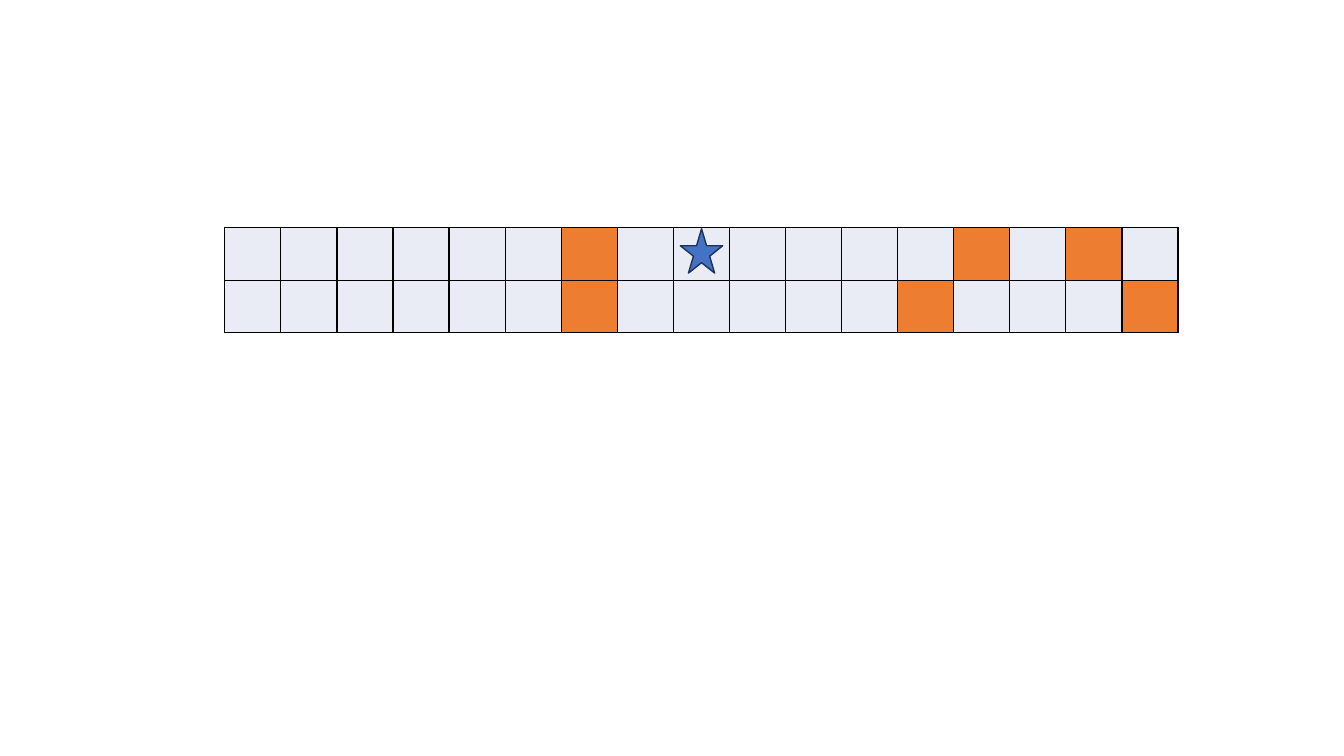
from lxml import etree
from pptx import Presentation
from pptx.dml.color import RGBColor
from pptx.enum import shapes
from pptx.oxml import ns
from pptx.util import Pt

COLORS = {
    "free": "E9EBF5",
    "blocked": "ED7D31",
    "border": "000000",
    "star": "4472C4",
    "star_line": "1E3256",
}
ROWS, COLUMNS = 2, 17
CELL_WIDTH, CELL_HEIGHT = 40.07, 37.44
GRID_LEFT, GRID_TOP = 160.56, 162.72
BLOCKED = {(0, 6), (0, 13), (0, 15), (1, 6), (1, 12), (1, 16)}


def paint(fill, name):
    fill.solid()
    fill.fore_color.rgb = RGBColor.from_string(COLORS[name])


def add_borders(cell):
    properties = cell._tc.get_or_add_tcPr()
    for index, side in enumerate(("lnL", "lnR", "lnT", "lnB")):
        line = etree.Element(ns.qn(f"a:{side}"), w=str(Pt(1)))
        solid = etree.SubElement(line, ns.qn("a:solidFill"))
        etree.SubElement(solid, ns.qn("a:srgbClr"), val=COLORS["border"])
        properties.insert(index, line)


def add_grid(page):
    table = page.shapes.add_table(
        ROWS, COLUMNS, Pt(GRID_LEFT), Pt(GRID_TOP),
        Pt(COLUMNS * CELL_WIDTH), Pt(ROWS * CELL_HEIGHT),
    ).table
    table.first_row = False
    table.horz_banding = False
    for column in table.columns:
        column.width = Pt(CELL_WIDTH)
    for row_index, row in enumerate(table.rows):
        row.height = Pt(CELL_HEIGHT)
        for column_index, cell in enumerate(row.cells):
            blocked = (row_index, column_index) in BLOCKED
            paint(cell.fill, "blocked" if blocked else "free")
            add_borders(cell)
            cell.text_frame.paragraphs[0].font.name = "Calibri"


def add_star(page, left, top, width, height):
    star = page.shapes.add_shape(
        shapes.MSO_SHAPE.STAR_5_POINT, Pt(left), Pt(top), Pt(width), Pt(height)
    )
    star.shadow.inherit = False
    paint(star.fill, "star")
    paint(star.line.fill, "star_line")
    star.line.width = Pt(1)


def main():
    deck = Presentation()
    deck.slide_width, deck.slide_height = Pt(960), Pt(540)
    page = deck.slides.add_slide(deck.slide_layouts[6])
    add_grid(page)
    add_star(page, 486, 163.44, 30.24, 31.68)
    deck.save("out.pptx")


if __name__ == "__main__":
    main()
